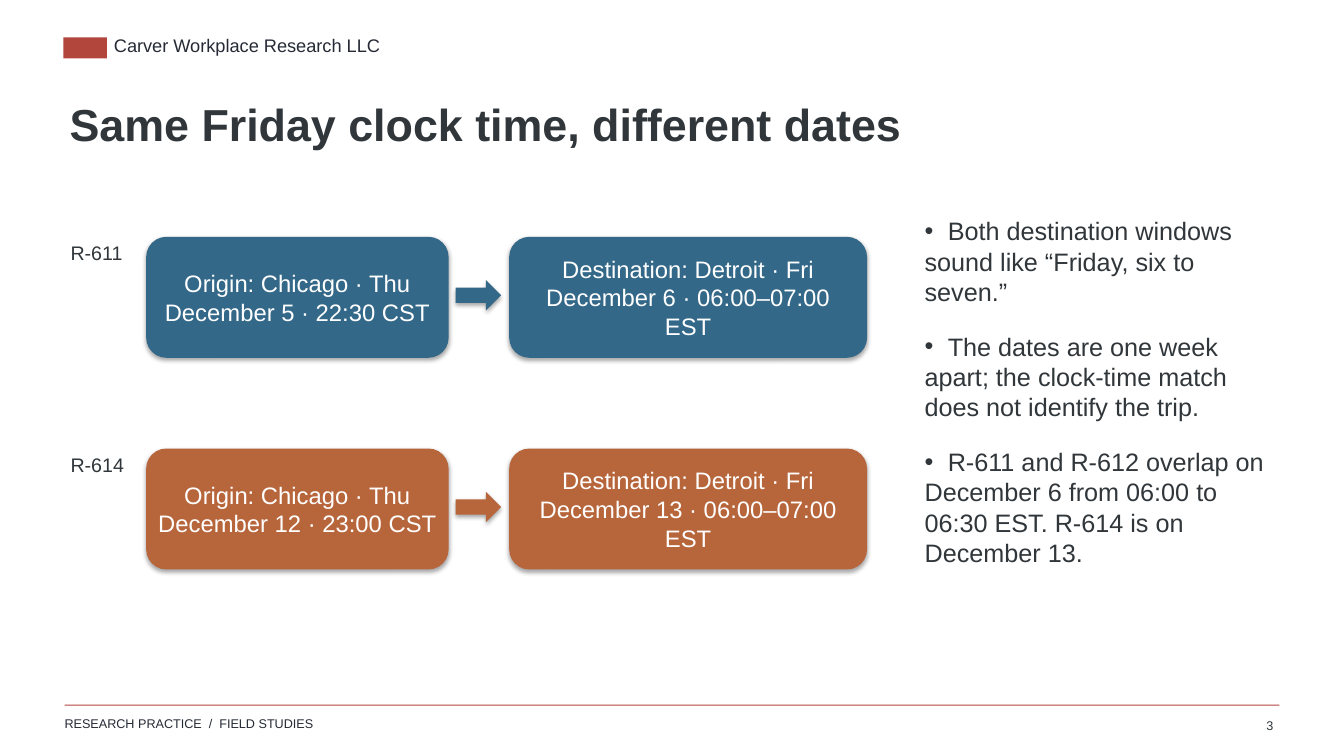
from lxml import etree
from pptx import Presentation
from pptx.dml.color import RGBColor
from pptx.enum.shapes import MSO_SHAPE
from pptx.enum.text import MSO_ANCHOR, MSO_AUTO_SIZE, PP_ALIGN
from pptx.oxml.ns import qn
from pptx.util import Inches, Pt

RECTANGLE = MSO_SHAPE.RECTANGLE
ROUNDED = MSO_SHAPE.ROUNDED_RECTANGLE
ARROW = MSO_SHAPE.RIGHT_ARROW
TOP, MIDDLE = MSO_ANCHOR.TOP, MSO_ANCHOR.MIDDLE
LEFT, CENTER, RIGHT = PP_ALIGN.LEFT, PP_ALIGN.CENTER, PP_ALIGN.RIGHT
NO_AUTOFIT = MSO_AUTO_SIZE.NONE

FONT = "Arial"
INK, BRAND_INK, RED, WHITE = "30363A", "252A35", "B3463C", "FFFFFF"
BLUE, ORANGE = "346889", "B7663C"
PADDING = (0.05, 0.04, 0.05, 0.04)
BULLET_GAP = 0.23

TRIPS = [
    ("R-611", BLUE, "Origin: Chicago · Thu December 5 · 22:30 CST",
     "Destination: Detroit · Fri December 6 · 06:00–07:00 EST"),
    ("R-614", ORANGE, "Origin: Chicago · Thu December 12 · 23:00 CST",
     "Destination: Detroit · Fri December 13 · 06:00–07:00 EST"),
]
FIRST_TRIP_TOP, TRIP_STEP = 2.35, 2.1
POINTS = [
    "Both destination windows sound like “Friday, six to seven.”",
    "The dates are one week apart; the clock-time match does not identify the trip.",
    "R-611 and R-612 overlap on December 6 from 06:00 to 06:30 EST. R-614 is on December 13.",
]


def color(hex_string):
    return RGBColor.from_string(hex_string)


def place(shape, left, top, width, height):
    shape.left, shape.top = Inches(left), Inches(top)
    shape.width, shape.height = Inches(width), Inches(height)


def set_frame(shape, padding=PADDING, anchor=TOP, wrap=True):
    frame = shape.text_frame
    frame.margin_left, frame.margin_top, frame.margin_right, frame.margin_bottom = map(Inches, padding)
    frame.vertical_anchor = anchor
    frame.auto_size = NO_AUTOFIT
    frame.word_wrap = wrap
    return frame


def format_paragraph(paragraph, size, hex_string=INK, align=LEFT, bold=False):
    paragraph.alignment = align
    for run in paragraph.runs:
        run.font.name = FONT
        run.font.size = Pt(size)
        run.font.bold = bold
        run.font.color.rgb = color(hex_string)


def add_label(slide, text, bounds, size, hex_string=INK, align=LEFT, padding=PADDING, wrap=True):
    box = slide.shapes.add_textbox(*map(Inches, bounds))
    frame = set_frame(box, padding, wrap=wrap)
    frame.text = text
    format_paragraph(frame.paragraphs[0], size, hex_string, align)


def add_block(slide, kind, bounds, fill, text="", shadow=True):
    """Add a filled shape; shadow keeps the soft shadow of the theme."""
    block = slide.shapes.add_shape(kind, *map(Inches, bounds))
    block.fill.solid()
    block.fill.fore_color.rgb = color(fill)
    block.line.fill.background()
    if not shadow:
        block.shadow.inherit = False
    if text:
        frame = set_frame(block, anchor=MIDDLE)
        frame.text = text
        format_paragraph(frame.paragraphs[0], 17, WHITE, CENTER)


def add_bullet(paragraph):
    """Bullet at the margin, with a tab stop where the first line starts."""
    properties = paragraph._p.get_or_add_pPr()
    properties.set("marL", "0")
    properties.set("indent", "0")
    etree.SubElement(properties, qn("a:buChar"), char="•")
    stops = etree.SubElement(properties, qn("a:tabLst"))
    etree.SubElement(stops, qn("a:tab"), pos=str(Inches(BULLET_GAP)), algn="l")


def add_branding(slide):
    add_block(slide, RECTANGLE, (0.63, 0.37, 0.43, 0.21), RED, shadow=False)
    add_block(slide, RECTANGLE, (0.64, 6.99, 12.05, 0.01), RED, shadow=False)
    for text, bounds, size in [
        ("Carver Workplace Research LLC", (1.13, 0.34, 5.5, 0.3), 13),
        ("RESEARCH PRACTICE  /  FIELD STUDIES", (0.64, 7.1, 5.5, 0.24), 9),
    ]:
        add_label(slide, text, bounds, size, BRAND_INK, padding=(0, 0, 0.1, 0.05), wrap=False)
    add_label(slide, "3", (12.13, 7.08, 0.55, 0.22), 9, align=RIGHT)


def fill_title(slide, text):
    title = slide.shapes.title
    place(title, 0.64, 0.92, 12, 1)
    frame = set_frame(title)
    frame.text = text
    format_paragraph(frame.paragraphs[0], 32, bold=True)


def fill_points(slide):
    body = slide.placeholders[1]
    place(body, 9.12, 2.1, 3.48, 4.39)
    frame = set_frame(body)
    for index, point in enumerate(POINTS):
        paragraph = frame.add_paragraph() if index else frame.paragraphs[0]
        paragraph.text = "\t" + point
        add_bullet(paragraph)
        paragraph.space_before = Pt(3.6 if index else 0)
        paragraph.space_after = Pt(14)
        format_paragraph(paragraph, 18)


def add_trip(slide, top, name, fill, origin, destination):
    add_label(slide, name, (0.65, top, 0.8, 0.35), 14)
    add_block(slide, ROUNDED, (1.45, top, 3, 1.2), fill, origin)
    add_block(slide, ROUNDED, (5.05, top, 3.55, 1.2), fill, destination)
    add_block(slide, ARROW, (4.52, top + 0.43, 0.45, 0.3), fill)


def main():
    deck = Presentation()
    deck.slide_width, deck.slide_height = Inches(13.33), Inches(7.5)
    slide = deck.slides.add_slide(deck.slide_layouts[1])
    add_branding(slide)
    fill_title(slide, "Same Friday clock time, different dates")
    fill_points(slide)
    for index, trip in enumerate(TRIPS):
        add_trip(slide, FIRST_TRIP_TOP + index * TRIP_STEP, *trip)
    deck.save("out.pptx")


if __name__ == "__main__":
    main()
